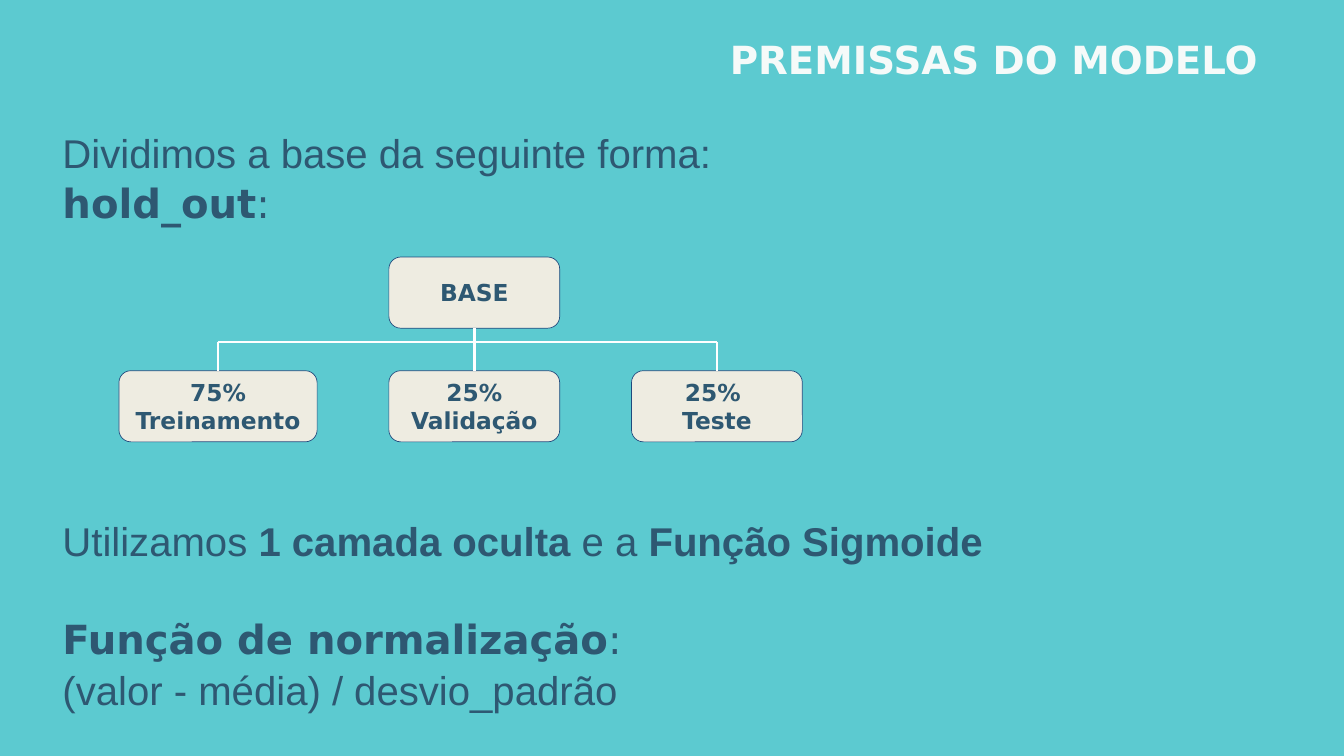
from lxml.etree import SubElement
from pptx import Presentation
from pptx.dml.color import RGBColor
from pptx.enum.shapes import MSO_CONNECTOR, MSO_SHAPE
from pptx.enum.text import MSO_ANCHOR, MSO_AUTO_SIZE, PP_ALIGN
from pptx.oxml.ns import qn
from pptx.util import Inches, Pt

TEAL = RGBColor(0x5C, 0xCA, 0xD0)
NAVY = RGBColor(0x2E, 0x58, 0x72)
OFF_WHITE = RGBColor(0xF5, 0xFA, 0xF9)
WHITE = RGBColor(0xFF, 0xFF, 0xFF)
CREAM = RGBColor(0xEE, 0xEC, 0xE1)
BLUE = RGBColor(0x1F, 0x49, 0x7D)
SANS, WIDE = "Arial", "DejaVu Sans"
W, H = Inches(20), Inches(11.25)


def share(box, x, y, w, h):
    """Part of a box, given as shares of its width and height."""
    left, top, width, height = box
    return (round(left + x * width), round(top + y * height),
            round(w * width), round(h * height))


def write(tf, paragraphs, size=43, color=NAVY, align=PP_ALIGN.LEFT,
          anchor=MSO_ANCHOR.TOP, margin=0, before=(), spacing=()):
    """Each paragraph is a list of (text, font, bold) runs."""
    tf.word_wrap = True
    tf.auto_size = MSO_AUTO_SIZE.NONE
    tf.vertical_anchor = anchor
    tf.margin_left = tf.margin_right = Inches(margin)
    tf.margin_top = tf.margin_bottom = Inches(margin)
    for i, runs in enumerate(paragraphs):
        p = tf.paragraphs[0] if i == 0 else tf.add_paragraph()
        p.alignment = align
        if before:
            p.space_before = Pt(before[i])
        if spacing:
            p.line_spacing = spacing[i]
        for text, font, bold in runs:
            r = p.add_run()
            r.text = text
            r.font.name, r.font.bold = font, bold
            r.font.size = Pt(size)
            r.font.color.rgb = color


def add_heading(s, box):
    tf = s.shapes.add_textbox(*box).text_frame
    write(tf, [[("PREMISSAS DO MODELO", WIDE, True)]],
          size=41.5, color=OFF_WHITE)


def add_title(s, box):
    sp = s.shapes.title
    sp.left, sp.top, sp.width, sp.height = box
    write(sp.text_frame,
          [[("Dividimos a base da seguinte forma:", SANS, False)],
           [("hold_out", WIDE, True), (":", WIDE, False)]],
          before=(0, 1.6))


def add_body(s, box):
    tf = s.shapes.add_textbox(*box).text_frame
    write(tf,
          [[("Utilizamos ", SANS, False), ("1 camada oculta", SANS, True),
            (" e a ", SANS, False), ("Função Sigmoide", SANS, True)],
           [("Função de normalização", WIDE, True), (":", WIDE, False)],
           [("(valor - média) / desvio_padrão", SANS, False)]],
          before=(0, 49.5, 0), spacing=(1, 1.06, 1.06))


def add_node(s, box, lines):
    sp = s.shapes.add_shape(MSO_SHAPE.ROUNDED_RECTANGLE, *box)
    sp.shadow.inherit = False
    sp.fill.solid()
    sp.fill.fore_color.rgb = CREAM
    sp.line.color.rgb = BLUE
    sp.line.width = Pt(0.75)
    write(sp.text_frame, [[(line, WIDE, True)] for line in lines], size=25,
          align=PP_ALIGN.CENTER, anchor=MSO_ANCHOR.MIDDLE, margin=0.1)
    return sp


def add_line(s, x1, y1, x2, y2):
    c = s.shapes.add_connector(MSO_CONNECTOR.STRAIGHT, x1, y1, x2, y2)
    c.line.color.rgb = WHITE
    c.line.width = Pt(3)
    SubElement(c._element.spPr, qn("a:effectLst"))
    return c


def add_split_tree(s, box):
    node_w, node_h, middle = 0.25, 0.385, 0.52
    # Centre, width and lines of each branch
    branches = [(0.145, 0.29, ["75%", "Treinamento"]),
                (middle, node_w, ["25% Validação"]),
                (0.875, node_w, ["25% ", "Teste"])]
    root = add_node(s, share(box, middle - node_w / 2, 0, node_w, node_h),
                    ["BASE"])
    bus_y = share(box, 0, 0.46, 0, 0)[1]
    ends = []
    for centre, width, lines in branches:
        node = add_node(s, share(box, centre - width / 2, 1 - node_h,
                                 width, node_h), lines)
        x = node.left + node.width // 2
        c = add_line(s, x, bus_y, x, node.top)
        c.end_connect(node, 0)
        if centre == middle:
            c.begin_connect(root, 2)
        ends.append(x)
    # Horizontal line over the branches
    add_line(s, ends[0], bus_y, ends[-1], bus_y)


def main():
    prs = Presentation()
    prs.slide_width, prs.slide_height = W, H
    s = prs.slides.add_slide(prs.slide_layouts[5])
    s.background.fill.solid()
    s.background.fill.fore_color.rgb = TEAL

    page = (0, 0, W, H)
    add_title(s, share(page, 0.0465, 0.17, 0.67, 0.13))
    add_body(s, share(page, 0.0465, 0.6835, 0.80, 0.26))
    add_heading(s, share(page, 0.543, 0.047, 0.41, 0.064))
    add_split_tree(s, share(page, 0.0885, 0.34, 0.5085, 0.2445))
    prs.save("out.pptx")


if __name__ == "__main__":
    main()
